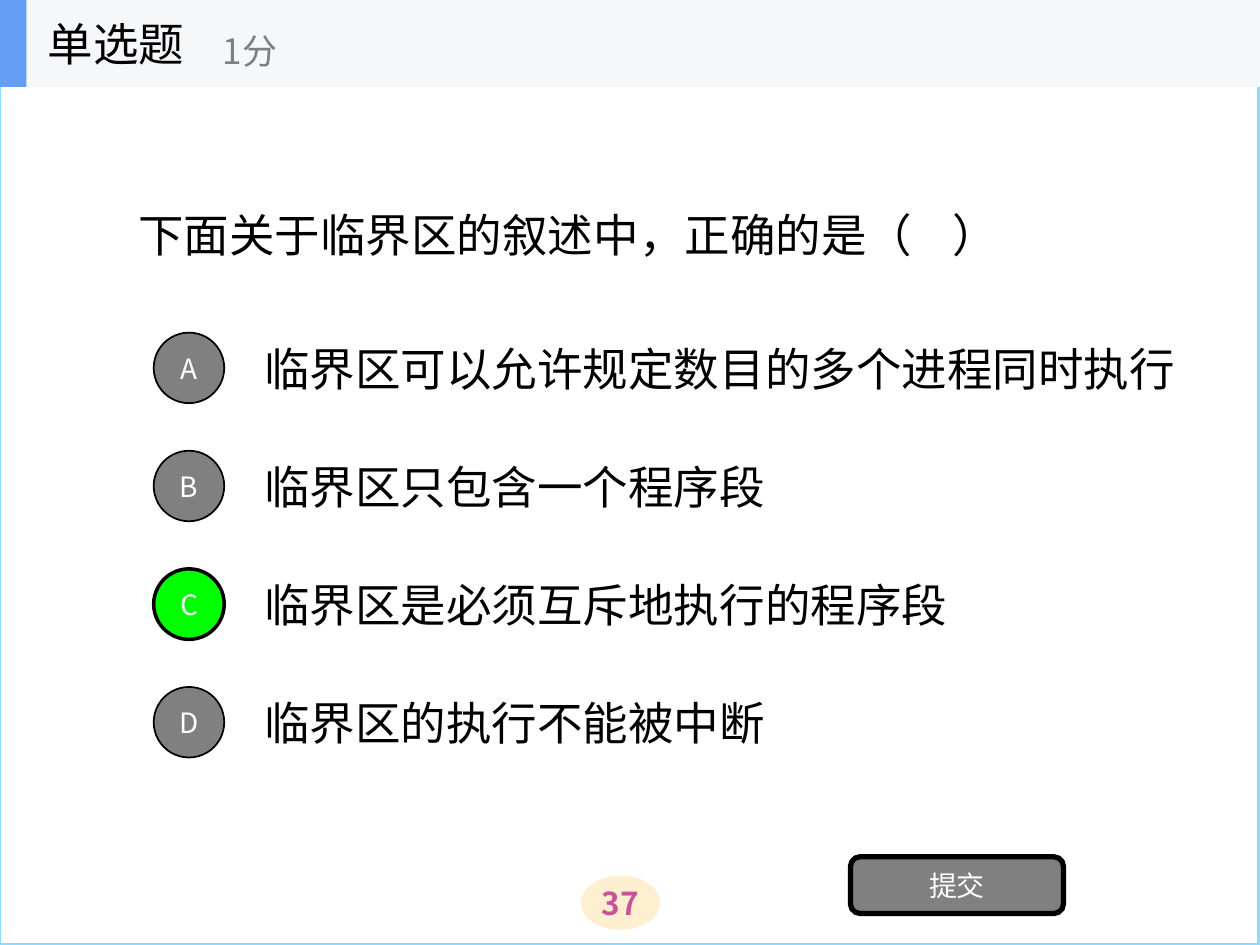
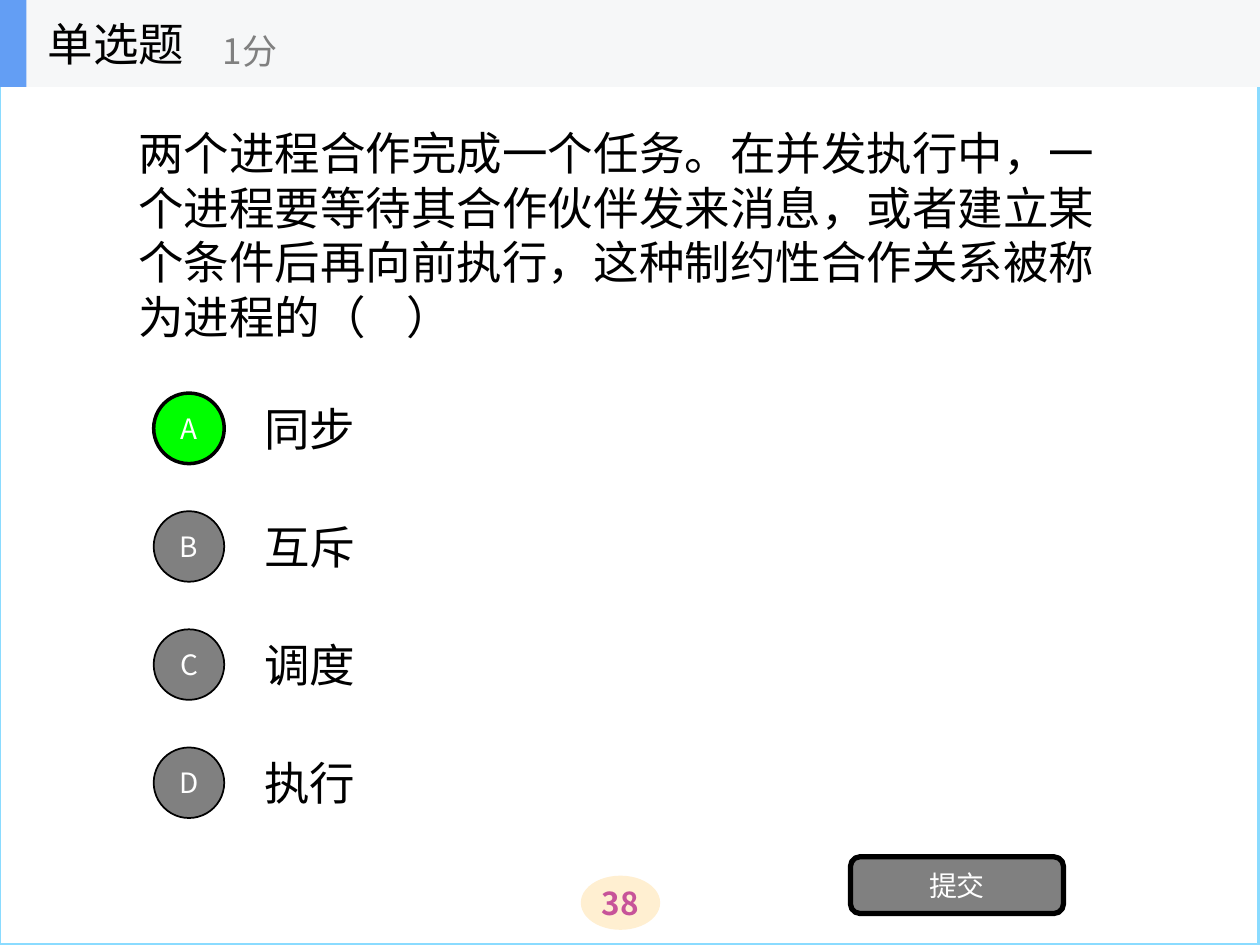
import dataclasses

import lxml.etree
import pptx
import pptx.dml.color
import pptx.enum.shapes
import pptx.enum.text
import pptx.oxml.ns
import pptx.util

SHAPE = pptx.enum.shapes.MSO_SHAPE
ALIGN = pptx.enum.text.PP_ALIGN
COLS, ROWS = 10, 7.5
HEAD = 0.69
PITCH = ROWS / 8
ROW, DOT = 0.7, 0.56


@dataclasses.dataclass(frozen=True)
class Theme:
    font: str = "Noto Sans CJK SC"
    black: str = "000000"
    white: str = "FFFFFF"
    gray: str = "808080"
    right: str = "00FF00"
    band: str = "F6F7F8"
    blue: str = "639EF4"
    frame: str = "8ADBFF"
    cream: str = "FFEFD1"
    pink: str = "C75399"
    body: int = 26
    score: int = 20
    page: int = 18
    label: int = 16


def rgb(code):
    return pptx.dml.color.RGBColor.from_string(code)


def write(shape, text, size, color, bold=False, align=ALIGN.LEFT, pad=(0.1, 0.05), font=Theme.font):
    """Fill a shape with one paragraph, set in the middle; pad is in inches (sides, ends)."""
    frame = shape.text_frame
    frame.word_wrap = True
    frame.vertical_anchor = pptx.enum.text.MSO_ANCHOR.MIDDLE
    frame.margin_left = frame.margin_right = pptx.util.Inches(pad[0])
    frame.margin_top = frame.margin_bottom = pptx.util.Inches(pad[1])
    line = frame.paragraphs[0]
    line.alignment = align
    run = line.add_run()
    run.text = text
    run.font.size = pptx.util.Pt(size)
    run.font.bold = bold
    run.font.color.rgb = rgb(color)
    run.font.name = font
    east = lxml.etree.SubElement(run._r.get_or_add_rPr(), pptx.oxml.ns.qn("a:ea"))
    east.set("typeface", font)


class Deck:
    """Holds the theme and the current slide; lengths are columns and rows of the grid."""

    def __init__(self, theme):
        self.theme = theme
        self.show = pptx.Presentation()
        self.show.slide_width = pptx.util.Inches(10)
        self.show.slide_height = pptx.util.Inches(7.5)
        self.slide = None

    def start(self):
        self.slide = self.show.slides.add_slide(self.show.slide_layouts[6])

    def place(self, x, y, w, h):
        """Turn grid lengths into slide lengths."""
        col, row = self.show.slide_width / COLS, self.show.slide_height / ROWS
        return round(x * col), round(y * row), round(w * col), round(h * row)

    def shape(self, kind, box, fill=None, line=None, width=1):
        item = self.slide.shapes.add_shape(kind, *self.place(*box))
        item.shadow.inherit = False
        if fill:
            item.fill.solid()
            item.fill.fore_color.rgb = rgb(fill)
        else:
            item.fill.background()
        if line:
            item.line.color.rgb = rgb(line)
            item.line.width = pptx.util.Pt(width)
        else:
            item.line.fill.background()
        return item

    def badge(self, kind, box, text, size, color, bold=False, **look):
        """Draw a shape with a short centred label."""
        item = self.shape(kind, box, **look)
        write(item, text, size, color, bold=bold, align=ALIGN.CENTER, pad=(0, 0))

    def text(self, box, text, size, color):
        write(self.slide.shapes.add_textbox(*self.place(*box)), text, size, color)

    def frame(self, page):
        t = self.theme
        self.badge(SHAPE.OVAL, (4.61, 6.95, 0.63, 0.43), str(page), t.page, t.pink,
                   bold=True, fill=t.cream)
        self.shape(SHAPE.RECTANGLE, (-0.01, 0, COLS, ROWS), line=t.frame, width=2.25)

    def header(self, title, score):
        t = self.theme
        self.shape(SHAPE.RECTANGLE, (0, 0, COLS, HEAD), fill=t.band)
        self.shape(SHAPE.RECTANGLE, (0, 0, 0.21, HEAD), fill=t.blue)
        self.text((0.28, 0, 2.08, HEAD), title, t.body, t.black)
        self.text((1.67, 0.12, 2.5, 0.56), score, t.score, t.gray)

    def choice(self, mark, text, top, wide, right):
        t = self.theme
        self.text((2, top, wide, ROW), text, t.body, t.black)
        self.badge(SHAPE.OVAL, (1.22, top + (ROW - DOT) / 2, DOT, DOT), mark, t.label, t.white,
                   fill=t.right if right else t.gray, line=t.black, width=2 if right else 1)

    def submit(self, text):
        t = self.theme
        self.badge(SHAPE.ROUNDED_RECTANGLE, (6.75, 6.8, 1.69, 0.45), text, t.label, t.white,
                   fill=t.gray, line=t.black, width=3)

    def quiz(self, page, ask, picks, key, top, wide):
        """Build one question slide; key is the letter of the right answer."""
        self.start()
        self.frame(page)
        self.text((1, HEAD, 8, 2.34), ask, self.theme.body, self.theme.black)
        for i, (mark, pick) in enumerate(zip("ABCD", picks)):
            self.choice(mark, pick, top + i * PITCH, wide, mark == key)
        self.submit("提交")
        self.header("单选题", "1分")


def main():
    deck = Deck(Theme())
    deck.quiz(
        37,
        "下面关于临界区的叙述中，正确的是（    ）",
        ["临界区可以允许规定数目的多个进程同时执行", "临界区只包含一个程序段",
         "临界区是必须互斥地执行的程序段", "临界区的执行不能被中断"],
        key="C", top=2.57, wide=7.57)
    deck.quiz(
        38,
        "两个进程合作完成一个任务。在并发执行中，一个进程要等待其合作伙伴发来消息，"
        "或者建立某个条件后再向前执行，这种制约性合作关系被称为进程的（    ）",
        ["同步", "互斥", "调度", "执行"],
        key="A", top=3.05, wide=7)
    deck.show.save("out.pptx")


if __name__ == "__main__":
    main()
